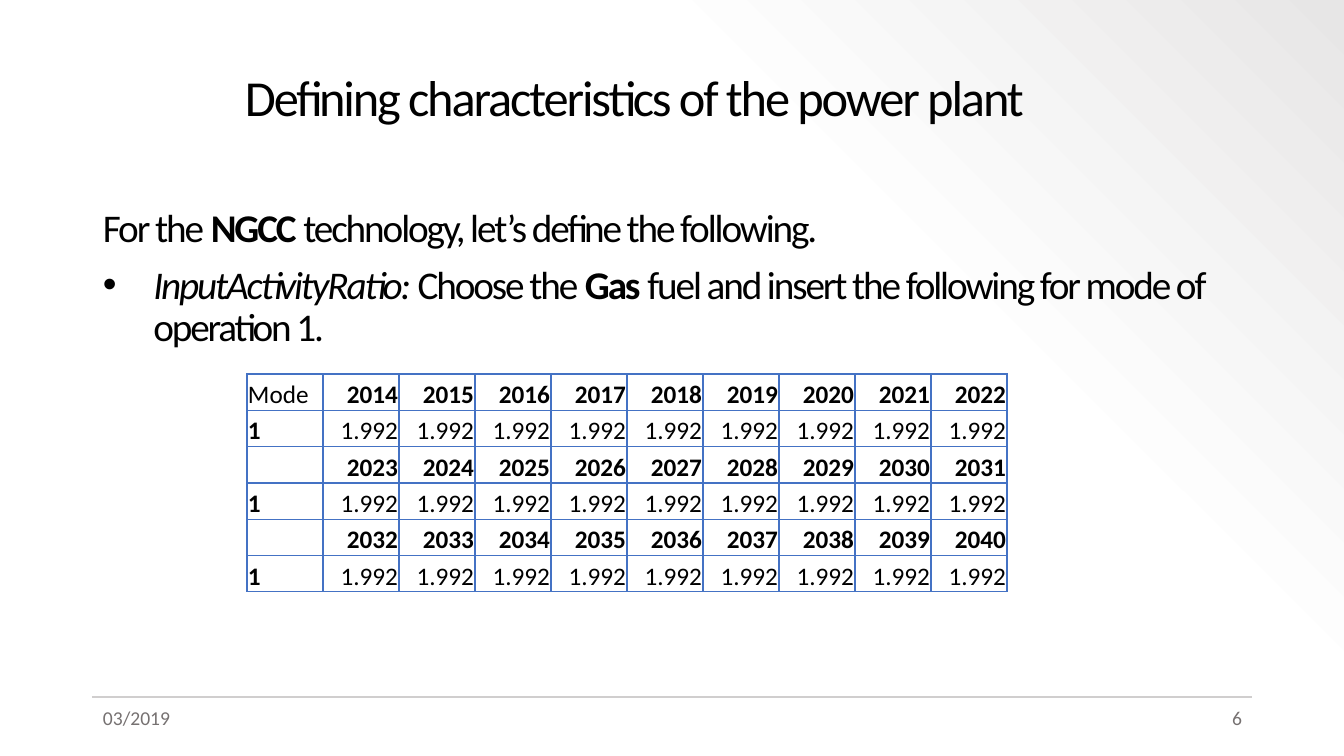
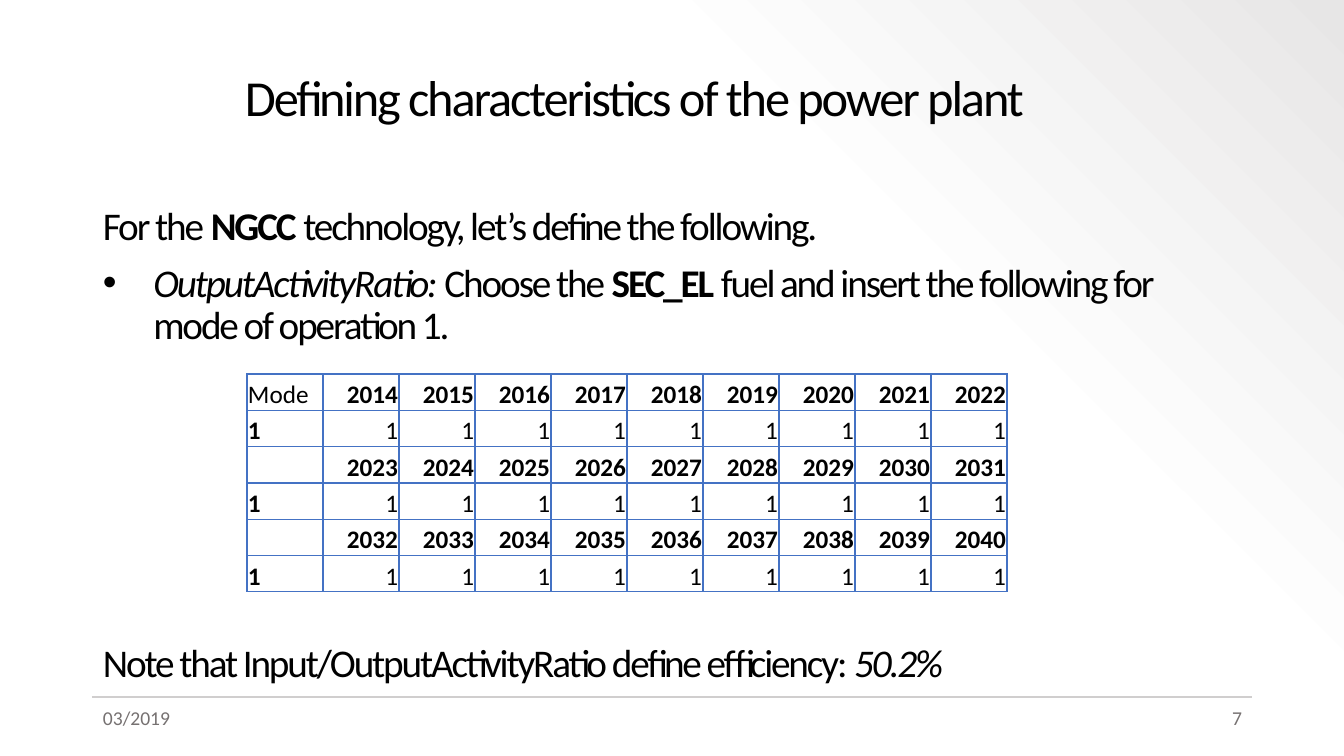
"""Build two slides defining the activity ratios of a power plant."""
import dataclasses
import typing

import lxml.etree
import pptx
import pptx.dml.color
import pptx.enum.shapes
import pptx.enum.text
import pptx.oxml
import pptx.oxml.ns
import pptx.presentation
import pptx.shapes.base
import pptx.slide
import pptx.table
import pptx.text.text
import pptx.util

PIXEL = pptx.util.Inches(1) / 100.8
FONT = "Calibri"
BLACK = pptx.dml.color.RGBColor(0x00, 0x00, 0x00)
FOOTER_GREY = pptx.dml.color.RGBColor(0x76, 0x71, 0x71)
RULE_GREY = pptx.dml.color.RGBColor(0xD0, 0xCE, 0xCE)
TABLE_BLUE = pptx.dml.color.RGBColor(0x44, 0x72, 0xC4)
GRADIENT_START = pptx.dml.color.RGBColor(0xFF, 0xFF, 0xFF)
GRADIENT_MIDDLE = pptx.dml.color.RGBColor(0xFD, 0xFD, 0xFD)
GRADIENT_END = pptx.dml.color.RGBColor(0xE7, 0xE6, 0xE6)

TITLE = "Defining characteristics of the power plant"
DATE = "03/2019"
FIRST_YEAR = 2014
YEARS_PER_BLOCK = 9
BLOCKS = 3


@dataclasses.dataclass(frozen=True)
class Box:
    left: int
    top: int
    width: int
    height: int


@dataclasses.dataclass(frozen=True)
class TextStyle:
    size: int
    color: pptx.dml.color.RGBColor = BLACK
    tracking: int = 0


@dataclasses.dataclass(frozen=True)
class Span:
    text: str
    bold: bool = False
    italic: bool = False


@dataclasses.dataclass(frozen=True)
class Line:
    spans: tuple[Span, ...]
    space_before: int = 10
    bullet: bool = False


@dataclasses.dataclass(frozen=True)
class RatioSlide:
    number: int
    parameter: str
    fuel: str
    ratio: str
    body_box: Box
    closing: tuple[Line, ...] = ()


TITLE_STYLE = TextStyle(36, tracking=-150)
BODY_STYLE = TextStyle(28, tracking=-150)
TABLE_STYLE = TextStyle(18)
FOOTER_STYLE = TextStyle(14, FOOTER_GREY)

TITLE_BOX = Box(235, 40, 1016, 121)
TABLE_BOX = Box(247, 374, 760, 218)
RULE_BOX = Box(92, 697, 1160, 0)
DATE_BOX = Box(93, 701, 131, 40)
NUMBER_BOX = Box(1121, 701, 131, 40)

RATIO_SLIDES = (
    RatioSlide(6, "InputActivityRatio: ", "Gas", "1.992", Box(93, 204, 1159, 476)),
    RatioSlide(
        7, "OutputActivityRatio: ", "SEC_EL", "1", Box(93, 202, 1159, 522),
        (Line((Span("Note that Input/OutputActivityRatio define efficiency: "),
               Span("50.2%", italic=True)), space_before=211),),
    ),
)


def px(pixels: float) -> pptx.util.Emu:
    return pptx.util.Emu(round(pixels * PIXEL))


def place(box: Box) -> tuple[pptx.util.Emu, ...]:
    return tuple(px(length) for length in dataclasses.astuple(box))


def add_span(paragraph: pptx.text.text._Paragraph, span: Span, style: TextStyle) -> None:
    run = paragraph.add_run()
    run.text = span.text
    run.font.name = FONT
    run.font.size = pptx.util.Pt(style.size)
    run.font.color.rgb = style.color
    run.font.bold = span.bold
    run.font.italic = span.italic
    if style.tracking:
        run.font._element.set("spc", str(style.tracking))


def add_bullet(paragraph: pptx.text.text._Paragraph) -> None:
    properties = paragraph._p.get_or_add_pPr()
    indent = pptx.util.Inches(0.5)
    properties.set("marL", str(indent))
    properties.set("indent", str(-indent))
    for tag, name, value in (("a:buFont", "typeface", "Arial"), ("a:buChar", "char", "•")):
        lxml.etree.SubElement(properties, pptx.oxml.ns.qn(tag)).set(name, value)


def add_text(slide: pptx.slide.Slide, box: Box, text: str,
             style: TextStyle) -> pptx.text.text.TextFrame:
    text_frame = slide.shapes.add_textbox(*place(box)).text_frame
    text_frame.word_wrap = True
    add_span(text_frame.paragraphs[0], Span(text), style)
    return text_frame


def add_title(slide: pptx.slide.Slide) -> None:
    text_frame = add_text(slide, TITLE_BOX, TITLE, TITLE_STYLE)
    text_frame.vertical_anchor = pptx.enum.text.MSO_ANCHOR.MIDDLE
    text_frame.paragraphs[0].line_spacing = 0.9


def add_body(slide: pptx.slide.Slide, box: Box, lines: typing.Sequence[Line]) -> None:
    text_frame = slide.shapes.add_textbox(*place(box)).text_frame
    text_frame.word_wrap = True
    for index, line in enumerate(lines):
        paragraph = text_frame.add_paragraph() if index else text_frame.paragraphs[0]
        paragraph.line_spacing = 0.9
        paragraph.space_before = pptx.util.Pt(line.space_before)
        if line.bullet:
            add_bullet(paragraph)
        for span in line.spans:
            add_span(paragraph, span, BODY_STYLE)


def add_footer(slide: pptx.slide.Slide, number: int) -> None:
    left, top, width, height = place(RULE_BOX)
    rule = slide.shapes.add_connector(
        pptx.enum.shapes.MSO_CONNECTOR.STRAIGHT, left, top, left + width, top + height)
    rule.line.color.rgb = RULE_GREY
    rule.line.width = pptx.util.Pt(1.5)
    lxml.etree.SubElement(rule._element.spPr, pptx.oxml.ns.qn("a:effectLst"))
    add_text(slide, DATE_BOX, DATE, FOOTER_STYLE)
    number_frame = add_text(slide, NUMBER_BOX, str(number), FOOTER_STYLE)
    number_frame.paragraphs[0].alignment = pptx.enum.text.PP_ALIGN.RIGHT


def format_cell(cell: pptx.table._Cell) -> None:
    cell.margin_left = cell.margin_right = cell.margin_top = px(1)
    cell.margin_bottom = 0
    cell.vertical_anchor = pptx.enum.text.MSO_ANCHOR.BOTTOM
    properties = cell._tc.get_or_add_tcPr()
    for side in ("lnL", "lnR", "lnT", "lnB"):
        properties.append(pptx.oxml.parse_xml(
            f'<a:{side} {pptx.oxml.ns.nsdecls("a")} w="{pptx.util.Pt(1)}">'
            f'<a:solidFill><a:srgbClr val="{TABLE_BLUE}"/></a:solidFill></a:{side}>'))
    cell.fill.background()


def ratio_rows(ratio: str) -> list[list[Span]]:
    rows = []
    for block in range(BLOCKS):
        start = FIRST_YEAR + block * YEARS_PER_BLOCK
        years = [Span(str(start + offset), bold=True) for offset in range(YEARS_PER_BLOCK)]
        rows.append([Span("" if block else "Mode"), *years])
        rows.append([Span("1", bold=True), *[Span(ratio)] * YEARS_PER_BLOCK])
    return rows


def add_ratio_table(slide: pptx.slide.Slide, ratio: str) -> None:
    rows = ratio_rows(ratio)
    table = slide.shapes.add_table(len(rows), len(rows[0]), *place(TABLE_BOX)).table
    table.first_row = False
    table.horz_banding = False
    for row_index, row in enumerate(rows):
        for column_index, span in enumerate(row):
            cell = table.cell(row_index, column_index)
            format_cell(cell)
            paragraph = cell.text_frame.paragraphs[0]
            if column_index:
                paragraph.alignment = pptx.enum.text.PP_ALIGN.RIGHT
            if span.text:
                add_span(paragraph, span, TABLE_STYLE)


def set_background(slide: pptx.slide.Slide) -> None:
    fill = slide.background.fill
    fill.gradient()
    fill.gradient_angle = 45
    stop_list = fill._fill._gradFill.find(pptx.oxml.ns.qn("a:gsLst"))
    for stop in list(stop_list):
        stop_list.remove(stop)
    for percent, color, opacity in (
            (0, GRADIENT_START, 100), (69, GRADIENT_MIDDLE, 100), (100, GRADIENT_END, 50)):
        stop_list.append(pptx.oxml.parse_xml(
            f'<a:gs {pptx.oxml.ns.nsdecls("a")} pos="{percent * 1000}">'
            f'<a:srgbClr val="{color}"><a:alpha val="{opacity * 1000}"/></a:srgbClr></a:gs>'))


def add_ratio_slide(presentation: pptx.presentation.Presentation, content: RatioSlide) -> None:
    slide = presentation.slides.add_slide(presentation.slide_layouts[6])
    set_background(slide)
    add_footer(slide, content.number)
    introduction = Line((Span("For the "), Span("NGCC ", bold=True),
                         Span("technology, let’s define the following.")))
    instruction = Line((Span(content.parameter, italic=True), Span("Choose the "),
                        Span(content.fuel, bold=True),
                        Span(" fuel and insert the following for mode of operation 1.")),
                       bullet=True)
    add_body(slide, content.body_box, (introduction, instruction, *content.closing))
    add_ratio_table(slide, content.ratio)
    add_title(slide)


def main() -> None:
    presentation = pptx.Presentation()
    presentation.slide_width = px(1344)
    presentation.slide_height = px(756)
    for content in RATIO_SLIDES:
        add_ratio_slide(presentation, content)
    presentation.save("out.pptx")


main()
